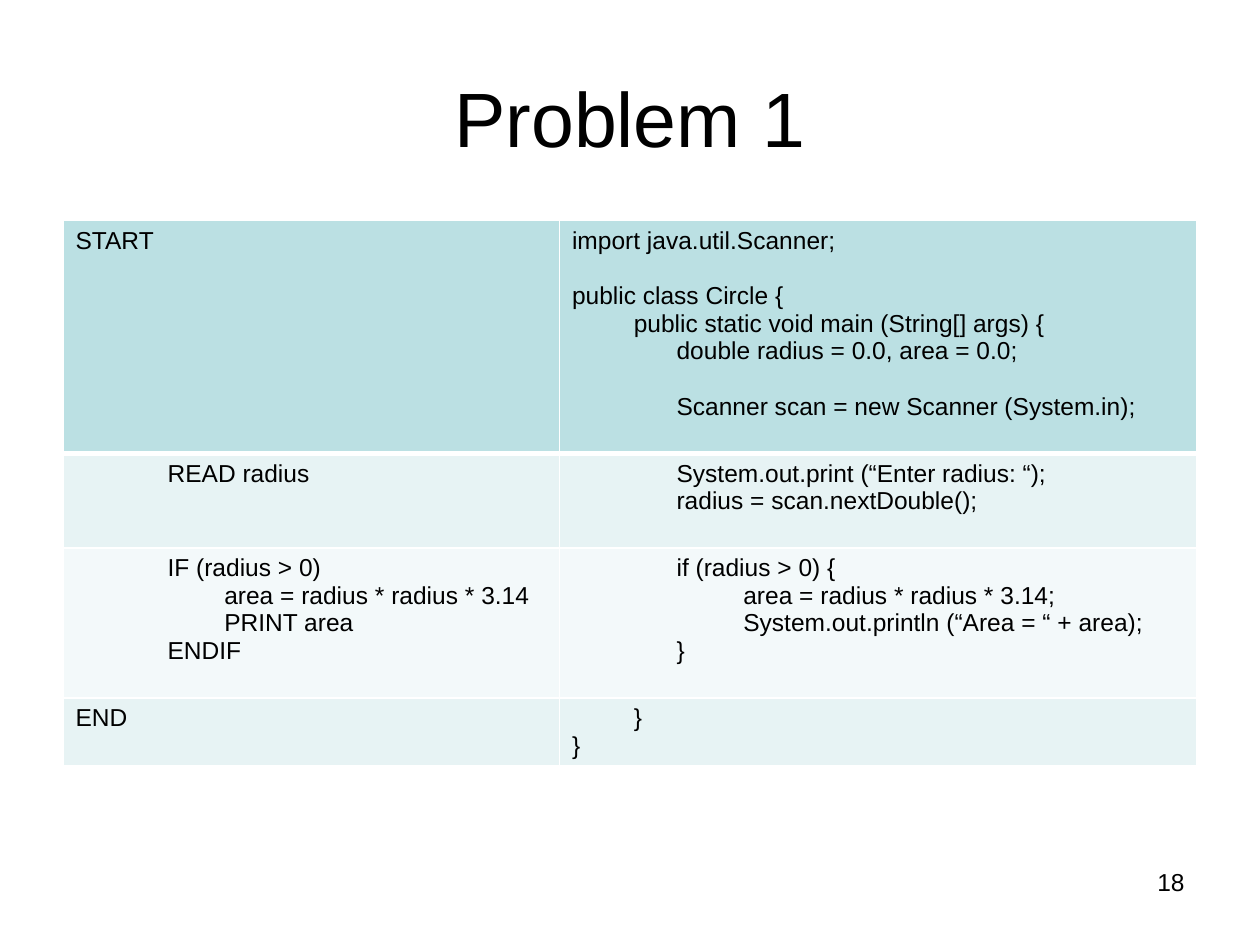
from lxml.etree import SubElement
from pptx import Presentation
from pptx.dml.color import RGBColor
from pptx.enum.text import MSO_ANCHOR, PP_ALIGN
from pptx.oxml.ns import qn
from pptx.util import Inches, Pt

COLORS = {
    "text": "000000",
    "border": "FFFFFF",
    "header": "BBE0E3",
    "band": "E7F3F4",
    "light": "F3F9FA",
}
FONT = "Arial"
BLANK_LINE = 16.1
COLUMN_WIDTHS = [3.94, 5.06]

# Each line is (text, left indent in inches, blank lines before it).
ROWS = [
    (1.85, "header",
     [("START", 0, 0)],
     [("import java.util.Scanner;", 0, 0),
      ("public class Circle {", 0, 1),
      ("public static void main (String[] args) {", 0.49, 0),
      ("double radius = 0.0, area = 0.0;", 0.83, 0),
      ("Scanner scan = new Scanner (System.in);", 0.83, 1)]),
    (0.75, "band",
     [("READ radius", 0.73, 0)],
     [("System.out.print (“Enter radius: “);", 0.83, 0),
      ("radius = scan.nextDouble();", 0.83, 0)]),
    (1.19, "light",
     [("IF (radius > 0)", 0.73, 0),
      ("area = radius * radius * 3.14", 1.18, 0),
      ("PRINT area", 1.18, 0),
      ("ENDIF", 0.73, 0)],
     [("if (radius > 0) {", 0.83, 0),
      ("area = radius * radius * 3.14;", 1.36, 0),
      ("System.out.println (“Area = “ + area);", 1.36, 0),
      ("}", 0.83, 0)]),
    (0.54, "band",
     [("END", 0, 0)],
     [("}", 0.49, 0),
      ("}", 0, 0)]),
]


def write_paragraph(paragraph, text, size=14, align=PP_ALIGN.LEFT, indent=0, before=0):
    """Write one formatted paragraph."""
    properties = paragraph._p.get_or_add_pPr()
    properties.set("marL", str(Inches(indent)))
    properties.set("indent", "0")
    paragraph.text = text
    paragraph.alignment = align
    paragraph.space_before = Pt(before)
    font = paragraph.font
    font.name, font.size, font.bold = FONT, Pt(size), False
    font.color.rgb = RGBColor.from_string(COLORS["text"])


def write_lines(text_frame, lines):
    """Write indented lines, one paragraph each."""
    for index, (text, indent, blanks) in enumerate(lines):
        paragraph = text_frame.add_paragraph() if index else text_frame.paragraphs[0]
        write_paragraph(paragraph, text, indent=indent, before=blanks * BLANK_LINE)


def set_borders(cell, top, bottom):
    """Draw the four borders of a cell, with widths in points."""
    properties = cell._tc.get_or_add_tcPr()
    for side, width in (("L", 1), ("R", 1), ("T", top), ("B", bottom)):
        line = SubElement(properties, qn(f"a:ln{side}"), w=str(Pt(width)))
        fill = SubElement(line, qn("a:solidFill"))
        SubElement(fill, qn("a:srgbClr"), val=COLORS["border"])


def add_title(slide, left, top, width, height):
    """Place and format the slide title."""
    title = slide.shapes.title
    title.left, title.top, title.width, title.height = map(Inches, (left, top, width, height))
    title.text_frame.vertical_anchor = MSO_ANCHOR.MIDDLE
    write_paragraph(title.text_frame.paragraphs[0], "Problem 1", size=44, align=PP_ALIGN.CENTER)


def add_code_table(slide, left, top, width, height):
    """Set the pseudocode beside the matching Java code."""
    box = map(Inches, (left, top, width, height))
    table = slide.shapes.add_table(len(ROWS), len(COLUMN_WIDTHS), *box).table
    for column, column_width in zip(table.columns, COLUMN_WIDTHS):
        column.width = Inches(column_width)
    for row_index, (row_height, color, *texts) in enumerate(ROWS):
        table.rows[row_index].height = Inches(row_height)
        for cell, lines in zip(table.rows[row_index].cells, texts):
            set_borders(cell, top=3 if row_index == 1 else 1, bottom=3 if row_index == 0 else 1)
            cell.fill.solid()
            cell.fill.fore_color.rgb = RGBColor.from_string(COLORS[color])
            write_lines(cell.text_frame, lines)


def add_page_number(slide, left, top, width, height):
    """Place the page number at the lower right."""
    text_frame = slide.shapes.add_textbox(*map(Inches, (left, top, width, height))).text_frame
    text_frame.word_wrap = True
    write_paragraph(text_frame.paragraphs[0], "18", align=PP_ALIGN.RIGHT)


def main():
    """Build and save the slide."""
    presentation = Presentation()
    presentation.slide_width, presentation.slide_height = Inches(10), Inches(7.5)
    slide = presentation.slides.add_slide(presentation.slide_layouts[5])
    add_title(slide, 0.5, 0.3, 9, 1.25)
    add_code_table(slide, 0.5, 1.75, sum(COLUMN_WIDTHS), sum(row[0] for row in ROWS))
    add_page_number(slide, 7.17, 6.83, 2.33, 0.52)
    presentation.save("out.pptx")


if __name__ == "__main__":
    main()
